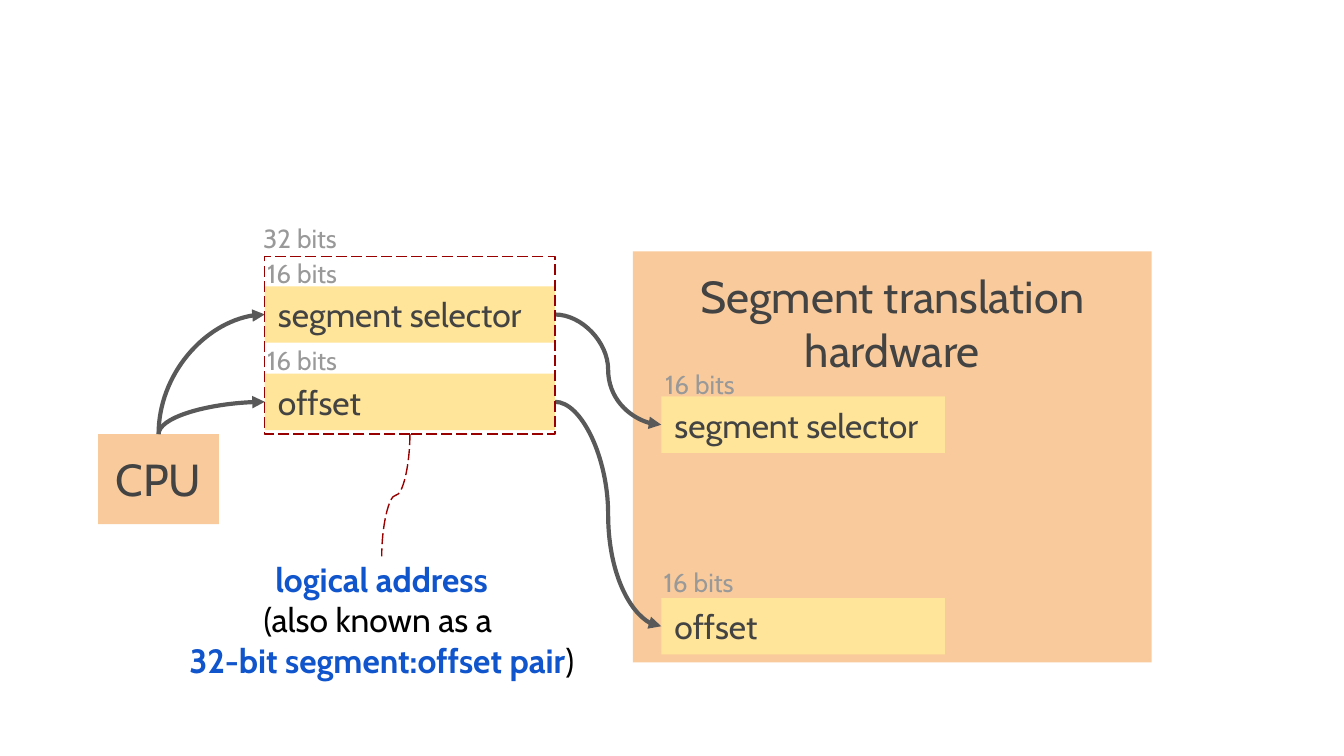
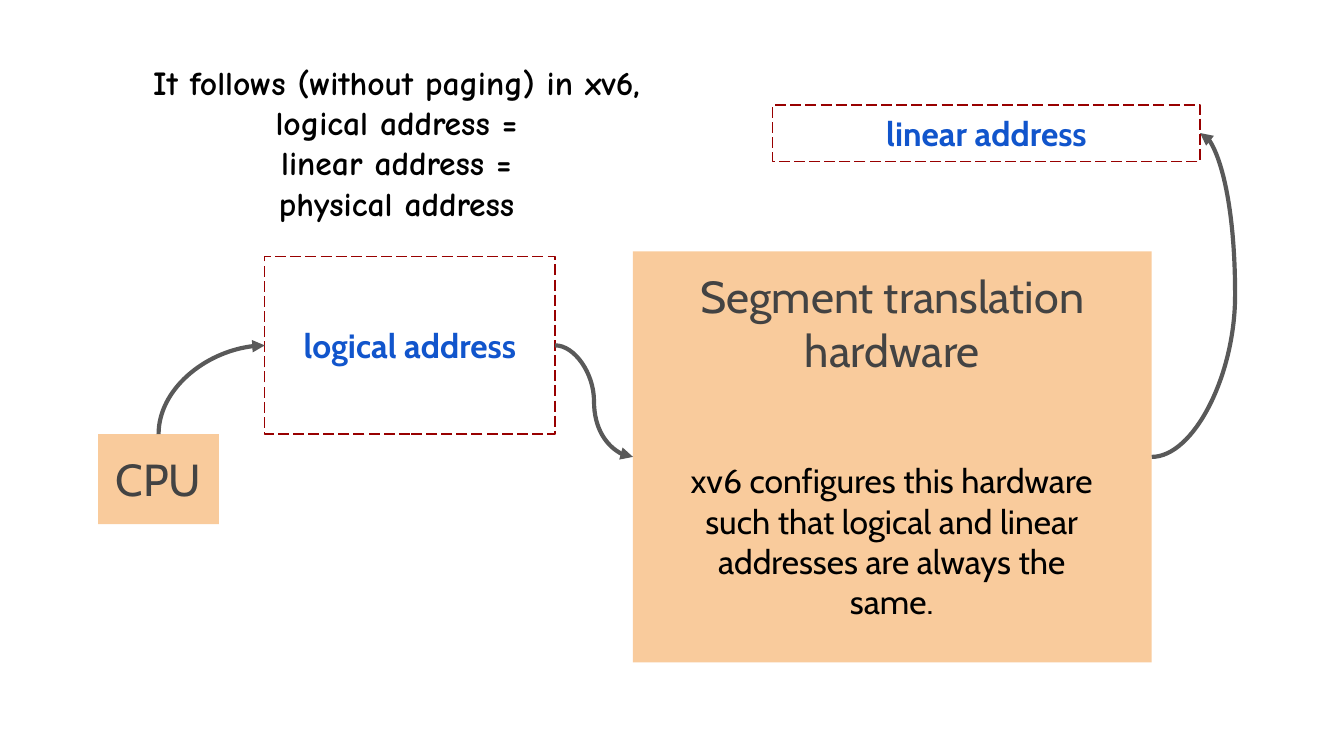
"""Build two slides on segment translation from logical to linear addresses."""
from lxml.etree import SubElement
from pptx import Presentation
from pptx.dml.color import RGBColor
from pptx.enum.dml import MSO_LINE
from pptx.enum.shapes import MSO_CONNECTOR, MSO_SHAPE
from pptx.enum.text import MSO_ANCHOR, PP_ALIGN
from pptx.oxml.ns import qn
from pptx.util import Pt

PX = 9144
PAGE_WIDTH = 1000 * PX
PAGE_HEIGHT = PAGE_WIDTH * 9 // 16
COLORS = {
    "unit": "F9CB9C",
    "field": "FFE599",
    "dark": "434343",
    "grey": "999999",
    "arrow": "595959",
    "dash": "980000",
    "term": "1155CC",
    "black": "000000",
}
BODY_FONT = "Cabin"
NOTE_FONT = "Comic Neue"
LOGICAL = (197, 191, 216, 132)
HARDWARE = (471, 187, 386, 306)
CPU_TOP = (118, 323)


def color(name):
    """Return the named palette colour."""
    return RGBColor.from_string(COLORS[name])


def style_span(span, size, ink, bold=False, font=BODY_FONT):
    """Set the font of one run."""
    span.font.name = font
    span.font.size = Pt(size)
    span.font.bold = bold
    span.font.color.rgb = color(ink)


def prepare_frame(frame, anchor=MSO_ANCHOR.MIDDLE, top_inset=10):
    """Set wrapping, anchor and insets of a text frame."""
    frame.word_wrap = True
    frame.vertical_anchor = anchor
    frame.margin_left = frame.margin_right = frame.margin_bottom = 10 * PX
    frame.margin_top = top_inset * PX


def write(frame, text, size, ink, bold=False, font=BODY_FONT, align=PP_ALIGN.CENTER):
    """Write evenly styled text, one paragraph a line."""
    frame.text = text
    for para in frame.paragraphs:
        para.alignment = align
        for span in para.runs:
            style_span(span, size, ink, bold, font)


def add_box(page, area, fill=None):
    """Add a filled rectangle, or a dashed outline when no fill is given."""
    box = page.shapes.add_shape(MSO_SHAPE.RECTANGLE, *[value * PX for value in area])
    box.shadow.inherit = False
    if fill:
        box.fill.solid()
        box.fill.fore_color.rgb = color(fill)
        box.line.fill.background()
    else:
        box.fill.background()
        style_dashes(box.line)
    prepare_frame(box.text_frame)
    return box


def style_dashes(line):
    """Give a line the thin dashed look."""
    line.color.rgb = color("dash")
    line.width = Pt(0.75)
    line.dash_style = MSO_LINE.LONG_DASH


def add_text(page, area):
    """Add an empty text box and return its frame."""
    frame = page.shapes.add_textbox(*[value * PX for value in area]).text_frame
    prepare_frame(frame)
    return frame


def add_bits(page, left, top, text="16 bits", width=90):
    """Add a grey label for a width in bits."""
    write(add_text(page, (left, top, width, 24)), text, 14, "grey", align=PP_ALIGN.LEFT)


def add_field(page, left, top, width, text):
    """Add a yellow address field."""
    box = add_box(page, (left, top, width, 42), "field")
    write(box.text_frame, text, 18, "dark", align=PP_ALIGN.LEFT)


def add_units(page):
    """Add the CPU and the segment translation hardware."""
    cpu = add_box(page, (73, 323, 90, 67), "unit")
    write(cpu.text_frame, "CPU", 24, "dark")
    hardware = add_box(page, HARDWARE, "unit")
    prepare_frame(hardware.text_frame, MSO_ANCHOR.TOP, 13)
    write(hardware.text_frame, "Segment translation hardware", 24, "dark")


def add_curve(page, start, end, turn=0, preset="curvedConnector3", bend=None):
    """Add a curve; a quarter turn makes it leave its start vertically."""
    if turn:
        middle_x, middle_y = (start[0] + end[0]) / 2, (start[1] + end[1]) / 2
        half_width, half_height = abs(end[1] - start[1]) / 2, abs(end[0] - start[0]) / 2
        start = (middle_x - half_width, middle_y - half_height)
        end = (middle_x + half_width, middle_y + half_height)
    points = [int(value * PX) for value in (*start, *end)]
    curve = page.shapes.add_connector(MSO_CONNECTOR.CURVE, *points)
    properties = curve.element.spPr
    if turn:
        properties.find(qn("a:xfrm")).set("rot", str(turn * 60000))
    geometry = properties.find(qn("a:prstGeom"))
    geometry.set("prst", preset)
    if bend:
        guide = SubElement(geometry.find(qn("a:avLst")), qn("a:gd"))
        guide.set("name", "adj1")
        guide.set("fmla", f"val {bend}")
    return curve


def remove_shadow(curve):
    """Add an empty effect list after the line properties."""
    SubElement(curve.element.spPr, qn("a:effectLst"))


def add_arrow(page, start, end, **route):
    """Add a thick grey curved arrow."""
    curve = add_curve(page, start, end, **route)
    curve.line.color.rgb = color("arrow")
    curve.line.width = Pt(2.25)
    outline = curve.element.spPr.find(qn("a:ln"))
    SubElement(outline, qn("a:tailEnd")).set("type", "triangle")
    remove_shadow(curve)


def add_cpu_arrow(page, end):
    """Add an arrow that rises from the CPU and turns right."""
    add_arrow(page, CPU_TOP, end, turn=270, preset="curvedConnector2")


def build_pair_page(page):
    """Show how the segment and offset pair reaches the hardware."""
    add_units(page)
    fields = (
        ("segment selector", 213, 295, (485, 274)),
        ("offset", 278, 445, (484, 421)),
    )
    for name, source_top, target_top, target_label in fields:
        add_field(page, 197, source_top, 216, name)
        add_field(page, 492, target_top, 211, name)
        add_bits(page, 189, source_top - 22)
        add_bits(page, *target_label)
        add_cpu_arrow(page, (197, source_top + 21))
        add_arrow(page, (413, source_top + 21), (492, target_top + 21))
    add_box(page, LOGICAL)
    add_bits(page, 186, 165, "32 bits", 285)

    frame = add_text(page, (125, 414, 318, 94))
    write(frame, "logical address\n(also known as a \n32-bit segment:offset pair", 18, "term", bold=True)
    style_span(frame.paragraphs[1].runs[0], 18, "black")
    closing = frame.paragraphs[2].add_run()
    closing.text = ")"
    style_span(closing, 18, "black")

    leader = add_curve(page, (305, 323), (284, 414), turn=90)
    style_dashes(leader.line)
    remove_shadow(leader)


def build_linear_page(page):
    """Show that logical and linear addresses agree in xv6."""
    add_box(page, LOGICAL)
    add_units(page)
    add_cpu_arrow(page, (197, 257))
    add_arrow(page, (413, 257), (471, 340))
    add_arrow(page, (857, 340), (893, 99), bend=172400)
    linear = add_box(page, (575, 78, 318, 42))
    write(linear.text_frame, "linear address", 18, "term", bold=True)
    write(add_text(page, (209, 238, 192, 37)), "logical address", 18, "term", bold=True)
    write(
        add_text(page, (500, 353, 327, 99)),
        "xv6 configures this hardware such that logical and linear addresses are always the same.",
        18,
        "black",
    )
    write(
        add_text(page, (87, 46, 425, 120)),
        "It follows (without paging) in xv6, \nlogical address = \nlinear address = \nphysical address ",
        18,
        "black",
        bold=True,
        font=NOTE_FONT,
    )


def main():
    """Build and save the deck."""
    deck = Presentation()
    deck.slide_width, deck.slide_height = PAGE_WIDTH, PAGE_HEIGHT
    for build in (build_pair_page, build_linear_page):
        build(deck.slides.add_slide(deck.slide_layouts[6]))
    deck.save("out.pptx")


if __name__ == "__main__":
    main()
